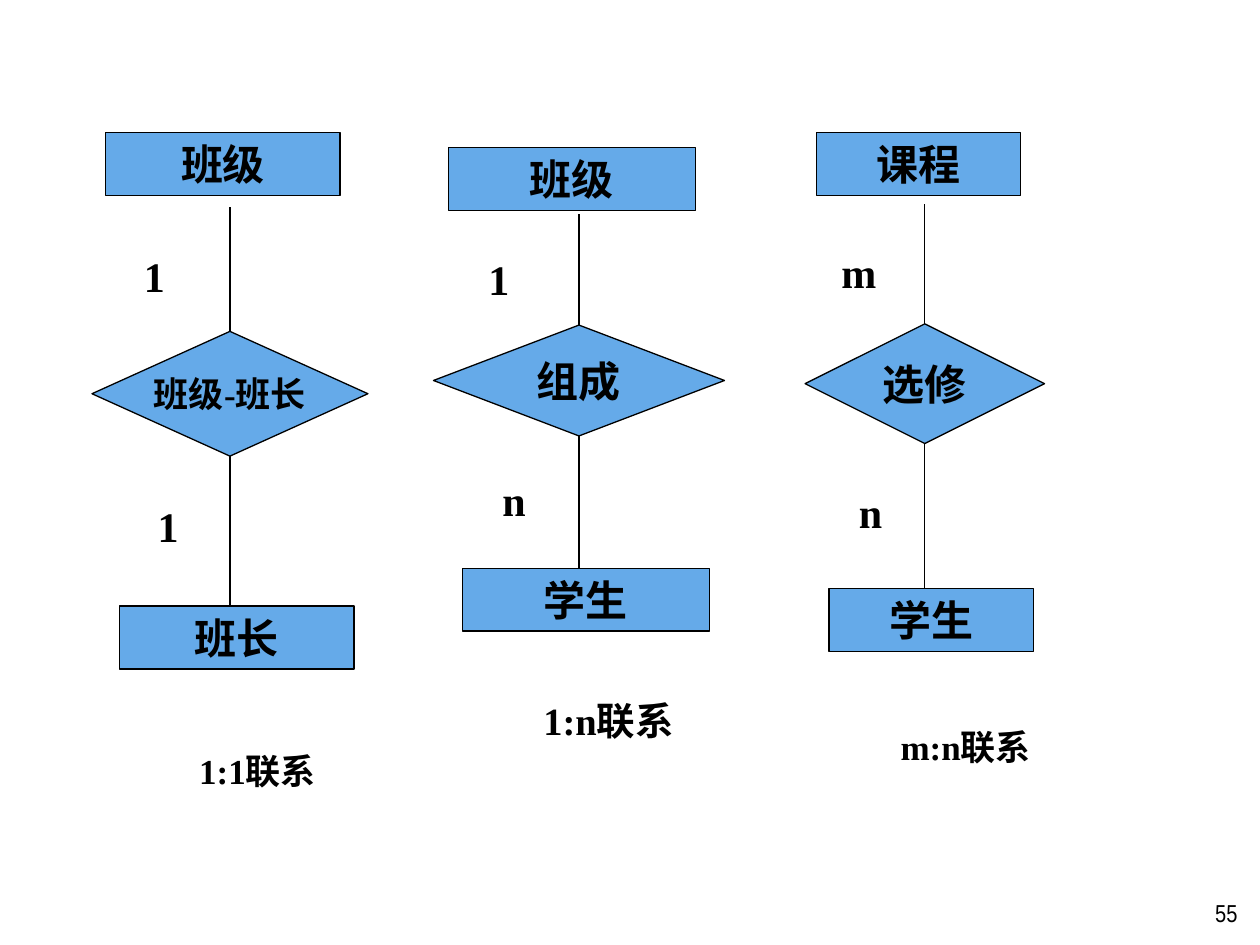
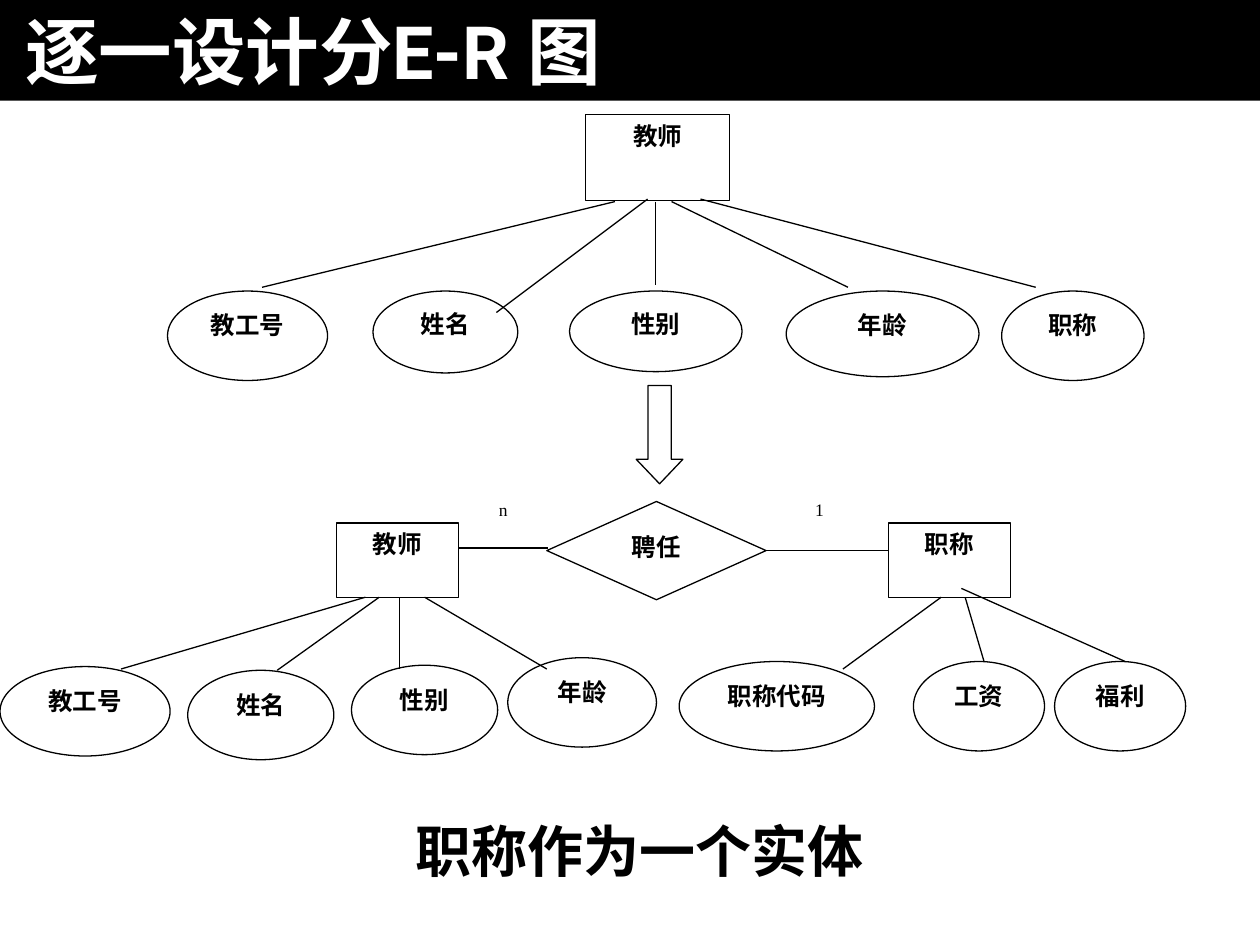
from pptx import Presentation
from pptx.dml.color import RGBColor
from pptx.enum.shapes import MSO_SHAPE as Geo, MSO_CONNECTOR as Conn
from pptx.enum.text import MSO_ANCHOR as Anchor, PP_ALIGN as Align
from pptx.oxml.ns import qn
from pptx.util import Pt
from lxml import etree

PX = 9144  # EMU in one px, 100 px to the inch
BLACK = RGBColor(0x00, 0x00, 0x00)
WHITE = RGBColor(0xFF, 0xFF, 0xFF)
BLUE = RGBColor(0x65, 0xAA, 0xE9)
SERIF = "Times New Roman"

# Slide 1: entities and diamonds as (text, left, top, width, height),
# marks as (text, top, width), caption as (text, top, width, height, size)
KINDS = [
    dict(upper=("班级", 84, 105, 186, 50), link=("班级-班长", 73, 263, 219, 99),
         lower=("班长", 95, 481, 186, 50), start=164, size=20,
         marks=[("1", 194, 55), ("1", 392, 55)],
         left=106, caption=("1:1联系", 590, 197, 44, 20)),
    dict(upper=("班级", 356, 117, 196, 50), link=("组成", 344, 258, 231, 88),
         lower=("学生", 367, 451, 196, 50), start=170, size=24,
         marks=[("1", 196, 58), ("n", 372, 58)],
         left=379, caption=("1:n联系", 548, 208, 47, 22)),
    dict(upper=("课程", 648, 105, 162, 50), link=("选修", 639, 257, 190, 95),
         lower=("学生", 658, 467, 162, 50), start=162, size=24,
         marks=[("m", 191, 47), ("n", 381, 48)],
         left=667, caption=("m:n联系", 571, 199, 44, 20)),
]
PAGE = "55"

# Slide 2: each entity with its attributes and the line to each attribute
TITLE = "逐一设计分E-R 图"
CLAIM = "职称作为一个实体"
FANS = [
    (("教师", 465, 91, 114, 68), [
        (("教工号", 133, 231, 127, 71), (488, 160, 208, 228)),
        (("姓名", 296, 231, 115, 65), (514, 158, 394, 248)),
        (("性别", 452, 231, 137, 64), (520, 160, 520, 226)),
        (("年龄", 624, 231, 153, 68), (533, 160, 673, 228)),
        (("职称", 795, 231, 113, 71), (556, 158, 822, 228))]),
    (("教师", 267, 415, 97, 59), [
        (("教工号", 0, 529, 135, 71), (290, 474, 96, 531)),
        (("姓名", 149, 532, 116, 71), (301, 474, 220, 532)),
        (("性别", 279, 528, 116, 71), (317, 474, 317, 531)),
        (("年龄", 403, 522, 118, 71), (337, 474, 434, 531))]),
    (("职称", 705, 415, 97, 59), [
        (("职称代码", 539, 525, 155, 71), (747, 474, 669, 531)),
        (("工资", 725, 525, 104, 71), (766, 474, 781, 525)),
        (("福利", 837, 525, 104, 71), (763, 467, 893, 525))]),
]
HIRE = ("聘任", 434, 398, 174, 78)
ARROW = (505, 306, 37, 78)
LINKS = [(364, 435, 435, 435), (608, 437, 705, 437)]
MARKS = [("n", 396), ("1", 647)]


def emu(*nums):
    return [n * PX for n in nums]


def write(shape, text, size, font=SERIF, color=BLACK, bold=True,
          align=Align.CENTER, anchor=Anchor.TOP, wrap=True, pad=(10, 5)):
    frame = shape.text_frame
    frame.word_wrap = wrap
    frame.vertical_anchor = anchor
    frame.margin_left = frame.margin_right = pad[0] * PX
    frame.margin_top = frame.margin_bottom = pad[1] * PX
    par = frame.paragraphs[0]
    par.text = text
    par.alignment = align
    par.font.size, par.font.name, par.font.bold = Pt(size), font, bold
    par.font.color.rgb = color


def note(slide, text, box, size, **style):
    write(slide.shapes.add_textbox(*emu(*box)), text, size, **style)


def draw(slide, geo, box, fill):
    shape = slide.shapes.add_shape(geo, *emu(*box))
    shape.shadow.inherit = False
    shape.fill.solid()
    shape.fill.fore_color.rgb = fill
    shape.line.color.rgb = BLACK
    shape.line.width = Pt(0.75)
    return shape


def node(slide, geo, item, size, fill=WHITE, **style):
    text, *box = item
    write(draw(slide, geo, box, fill), text, size, **style)


def wire(slide, ends):
    line = slide.shapes.add_connector(Conn.STRAIGHT, *emu(*ends))
    line.line.color.rgb = BLACK
    line.line.width = Pt(0.75)
    etree.SubElement(line._element.spPr, qn("a:effectLst"))


def show_kinds(slide):
    for kind in KINDS:
        # Entities and relationship
        node(slide, Geo.RECTANGLE, kind["upper"], 24, BLUE)
        node(slide, Geo.DIAMOND, kind["link"], kind["size"], BLUE,
             anchor=Anchor.MIDDLE, wrap=False)
        node(slide, Geo.RECTANGLE, kind["lower"], 24, BLUE)
        # Lines through the middle of the diamond
        _, left, top, width, height = kind["link"]
        mid = left + width / 2
        low = kind["lower"]
        wire(slide, (mid, top, mid, kind["start"]))
        wire(slide, (mid, top + height, mid, low[2]))
        # Marks and caption
        for x, (text, y, w) in zip((low[1], kind["left"]), kind["marks"]):
            note(slide, text, (x, y, w, 50), 24)
        text, y, w, h, size = kind["caption"]
        note(slide, text, (kind["left"], y, w, h), size)
    note(slide, PAGE, (950, 708, 42, 33), 14, font="Arial Narrow",
         bold=False, align=Align.RIGHT)


def show_split(slide):
    # Entities with their attributes
    for owner, parts in FANS:
        node(slide, Geo.RECTANGLE, owner, 14)
        for item, ends in parts:
            node(slide, Geo.OVAL, item, 14)
            wire(slide, ends)
    # Step down to the new relationship
    arrow = draw(slide, Geo.DOWN_ARROW, ARROW, WHITE)
    arrow.adjustments[1] = 0.525
    node(slide, Geo.FLOWCHART_DECISION, HIRE, 14)
    for ends in LINKS:
        wire(slide, ends)
    for text, x in MARKS:
        note(slide, text, (x, 396, 39, 59), 10, bold=False,
             align=Align.LEFT, pad=(0, 0))
    # Title band and claim
    band = draw(slide, Geo.RECTANGLE, (0, 0, 1000, 80), BLACK)
    band.line.fill.background()
    write(band, TITLE, 42, font="Roboto", color=WHITE,
          align=Align.LEFT, pad=(20, 5))
    note(slide, CLAIM, (216, 643, 583, 64), 32, font="Arial")


def main():
    deck = Presentation()
    deck.slide_width, deck.slide_height = emu(1000, 750)
    for show in (show_kinds, show_split):
        show(deck.slides.add_slide(deck.slide_layouts[6]))
    deck.save("out.pptx")


if __name__ == "__main__":
    main()
